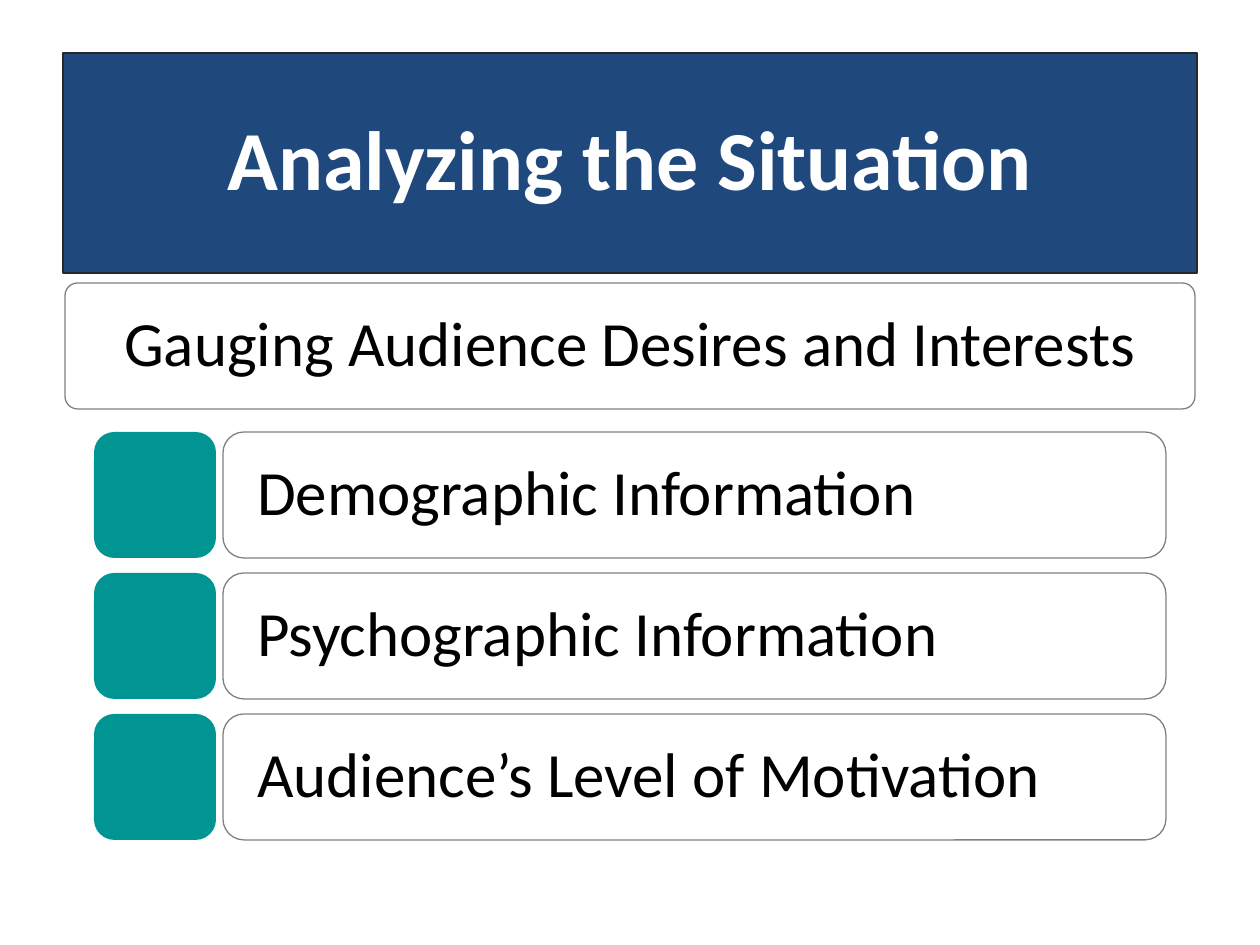
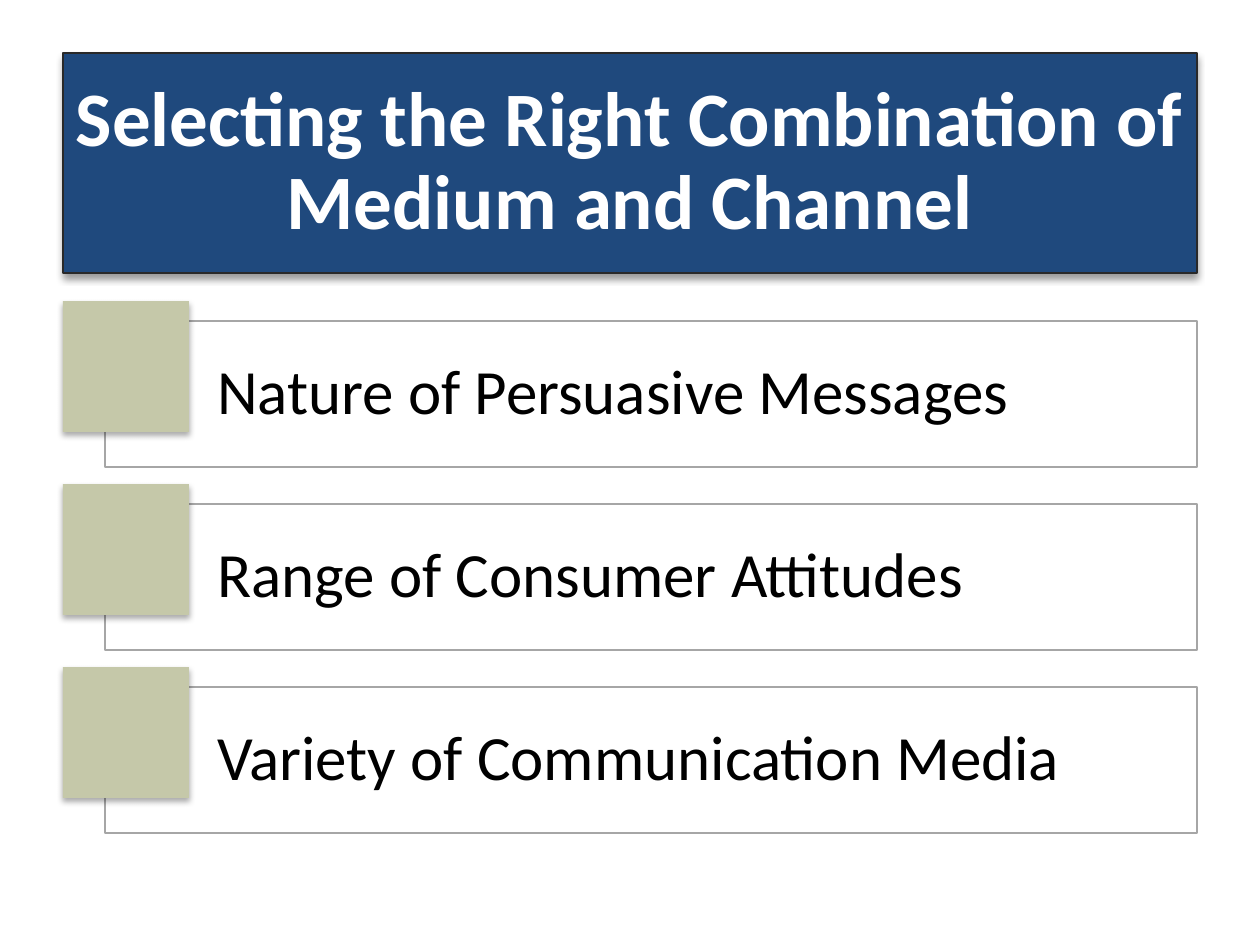
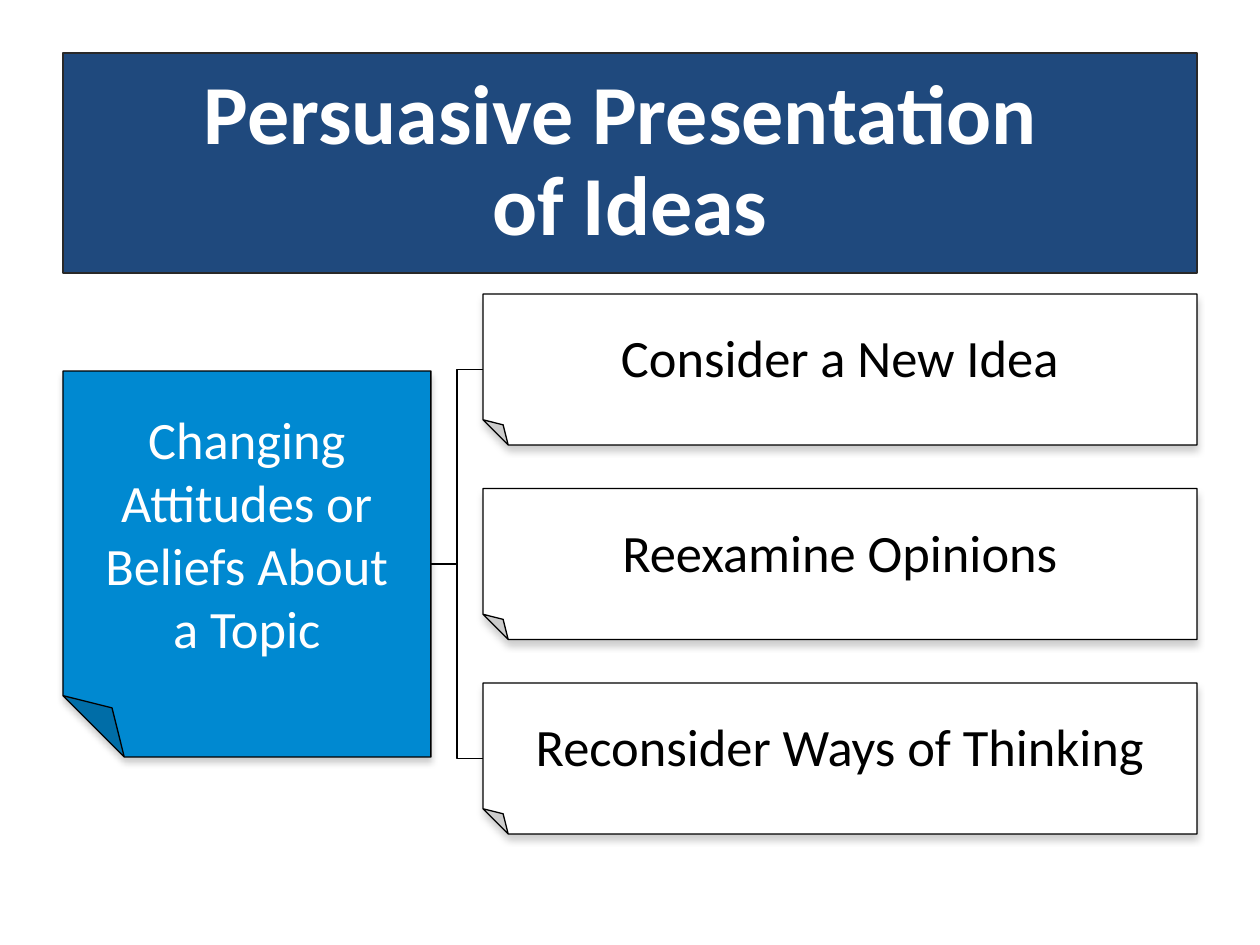
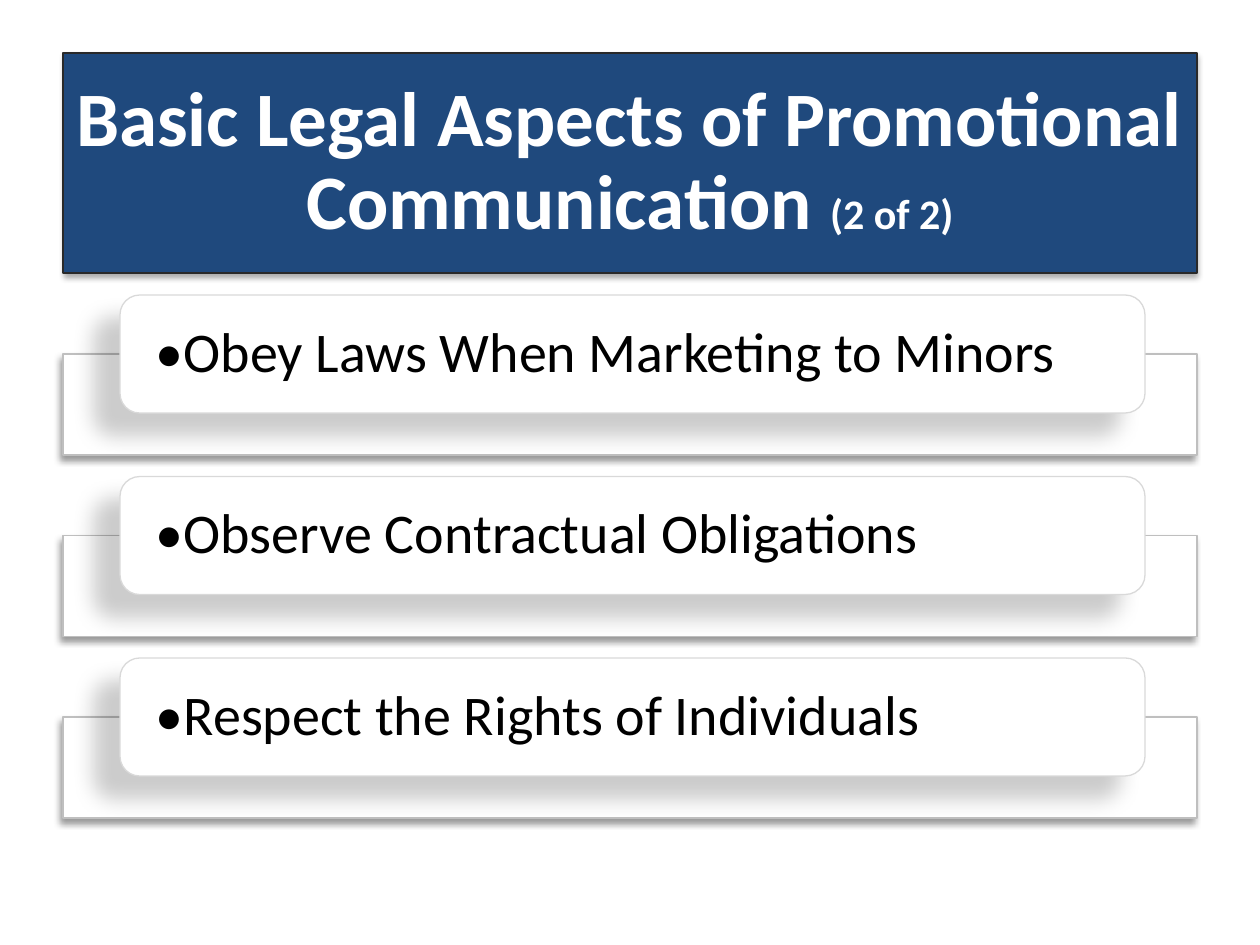
from lxml import etree
from pptx import Presentation
from pptx.dml.color import RGBColor
from pptx.enum.shapes import MSO_CONNECTOR as Conn, MSO_SHAPE as Kind
from pptx.enum.text import MSO_ANCHOR as Anchor, MSO_AUTO_SIZE as Fit, PP_ALIGN as Align
from pptx.oxml.ns import qn
from pptx.util import Pt

INK = {
    "white": "FFFFFF", "black": "000000", "navy": "1F497D", "edge": "292929",
    "teal": "009593", "sage": "C5C8A9", "blue": "0089D1",
    "gray": "808080", "mid": "A6A6A6", "soft": "BFBFBF", "pale": "D9D9D9",
}
FONT = "Calibri"

# Shadows: opacity %, blur pt, distance pt, angle
DEEP = (40, 4, 3, 90)
LOW = (32, 3.5, 2.2, 90)
FAINT = (20, 4, 3, 90)
SIDE = (40, 4, 3, 135)
FAR = (20, 11.8, 19.7, 141)

# Title band in px: left, top, width, height
HEAD = (63, 53, 1134, 220)


def emu(px):
    return round(px * 914400 / 126)


def rgb(name):
    return RGBColor.from_string(INK[name])


def place(shape, box):
    shape.left, shape.top, shape.width, shape.height = map(emu, box)


def shade(shape, cast):
    """Turn off the theme shadow and add the given one."""
    shape.shadow.inherit = False
    if not cast:
        return
    alpha, blur, dist, angle = cast
    fx = shape._element.spPr.find(qn("a:effectLst"))
    drop = etree.SubElement(
        fx, qn("a:outerShdw"), blurRad=str(Pt(blur)), dist=str(Pt(dist)),
        dir=str(angle * 60000), algn="ctr", rotWithShape="0")
    tint = etree.SubElement(drop, qn("a:srgbClr"), val=INK["black"])
    etree.SubElement(tint, qn("a:alpha"), val=str(alpha * 1000))


def paint(shape, fill, line=None, cast=None, alpha=None):
    shape.fill.solid()
    shape.fill.fore_color.rgb = rgb(fill)
    if alpha:
        tint = shape._element.spPr.find(qn("a:solidFill"))[0]
        etree.SubElement(tint, qn("a:alpha"), val=str(alpha * 1000))
    if line:
        shape.line.color.rgb = rgb(line)
        shape.line.width = Pt(0.75)
    else:
        shape.line.fill.background()
    shade(shape, cast)


def write(shape, text, size=36, color="black", bold=False, align=Align.LEFT,
          lead=0.9, inset=(12, 6), wrap=True, tail=None, small=24):
    """Set text, one paragraph a line; tail is a smaller closing run."""
    frame = shape.text_frame
    frame.text = text
    frame.word_wrap = wrap
    frame.auto_size = Fit.NONE
    frame.vertical_anchor = Anchor.MIDDLE
    frame.margin_left = frame.margin_right = emu(inset[0])
    frame.margin_top = frame.margin_bottom = emu(inset[1])
    if tail:
        frame.paragraphs[-1].add_run().text = tail
    for para in frame.paragraphs:
        para.alignment = align
        para.line_spacing = lead
        for run in para.runs:
            font = run.font
            font.name, font.bold = FONT, bold
            font.size = Pt(small if run.text == tail else size)
            font.color.rgb = rgb(color)


def block(slide, kind, box, fill, radius=None, **look):
    shape = slide.shapes.add_shape(kind, *map(emu, box))
    if radius is not None:
        shape.adjustments[0] = radius
    paint(shape, fill, **look)
    return shape


def start(deck, text, size=48, cast=None, tail=None):
    """Add a slide with its title band."""
    slide = deck.slides.add_slide(deck.slide_layouts[5])
    title = slide.shapes.title
    place(title, HEAD)
    paint(title, "navy", "edge", cast)
    write(title, text, size=size, color="white", bold=True,
          align=Align.CENTER, tail=tail)
    return slide


def tiles(slide, box, lead, items):
    """Header card above rows of a tile and a card."""
    x, y, w, _ = box
    card = block(slide, Kind.ROUNDED_RECTANGLE, (x, y, w, 126), "white",
                 radius=0.1, line="gray")
    write(card, lead, align=Align.CENTER)
    for i, item in enumerate(items):
        top = y + 149 + i * 141
        block(slide, Kind.ROUNDED_RECTANGLE, (x + 29, top, 122, 126), "teal",
              radius=0.167)
        card = block(slide, Kind.ROUNDED_RECTANGLE, (x + 158, top, w - 187, 126),
                     "white", radius=0.167, line="gray")
        write(card, item, inset=(28, 0))


def tabs(slide, box, items):
    """Outlined cards, each with a square over its corner."""
    x, y, w, _ = box
    for i, item in enumerate(items):
        top = y + i * 183
        card = block(slide, Kind.RECTANGLE, (x + 42, top + 20, w - 42, 146),
                     "white", line="mid", alpha=40)
        write(card, item, inset=(112, 0))
        block(slide, Kind.RECTANGLE, (x, top, 126, 131), "sage", cast=LOW)


def note(slide, box, text, fill, color):
    """Sheet with its lower left corner folded."""
    sheet = block(slide, Kind.FOLDED_CORNER, box, fill, line="black", cast=FAINT)
    sheet._element.spPr.xfrm.set("flipH", "1")
    write(sheet, text, size=30, color=color, align=Align.CENTER, lead=1, wrap=False)


def tree(slide, box, root, items):
    """Root note on the left, branch notes on the right."""
    x, y, w, h = box
    wide, tall, left = 368, 151, x + 420
    mid = y + h / 2
    step = (h - tall) / (len(items) - 1)
    note(slide, (x, mid - 193, wide, 386), root, "blue", "white")
    for i, item in enumerate(items):
        note(slide, (left, y + i * step, w - 420, tall), item, "white", "black")
    # Links to the outer branches
    for end in (y + tall / 2, y + h - tall / 2):
        link = slide.shapes.add_connector(
            Conn.ELBOW, *map(emu, (x + wide, mid, left, end)))
        link.line.color.rgb = rgb("black")
        link.line.width = Pt(1)
        etree.SubElement(link._element.spPr, qn("a:effectLst"))


def stack(slide, box, items):
    """Raised cards over wide bars."""
    x, y, w, h = box
    step = (h - 160) / (len(items) - 1)
    for i, item in enumerate(items):
        top = y + i * step
        block(slide, Kind.RECTANGLE, (x, top + 59, w, 101), "white",
              line="soft", cast=SIDE)
        card = block(slide, Kind.ROUNDED_RECTANGLE, (x + 57, top, w - 109, 118),
                     "white", radius=0.167, line="pale", cast=FAR)
        write(card, item, size=32, inset=(30, 6))


def main():
    deck = Presentation()
    deck.slide_width, deck.slide_height = emu(1260), emu(945)

    slide = start(deck, "Analyzing the Situation")
    tiles(slide, (65, 283, 1130, 557), "Gauging Audience Desires and Interests", [
        "Demographic Information",
        "Psychographic Information",
        "Audience’s Level of Motivation",
    ])

    slide = start(deck, "Selecting the Right Combination of Medium and Channel",
                  size=44, cast=DEEP)
    tabs(slide, (63, 301, 1134, 532), [
        "Nature of Persuasive Messages",
        "Range of Consumer Attitudes",
        "Variety of Communication Media",
    ])

    slide = start(deck, "Persuasive Presentation \vof Ideas")
    tree(slide, (63, 294, 1134, 540),
         "Changing\nAttitudes or\nBeliefs About\na Topic", [
             "Consider a New Idea",
             "Reexamine Opinions",
             "Reconsider Ways of Thinking",
         ])

    slide = start(deck, "Basic Legal Aspects of Promotional Communication ",
                  size=44, cast=LOW, tail="(2 of 2)")
    stack(slide, (63, 295, 1134, 523), [
        "•Obey Laws When Marketing to Minors",
        "•Observe Contractual Obligations",
        "•Respect the Rights of Individuals",
    ])

    deck.save("out.pptx")


if __name__ == "__main__":
    main()
